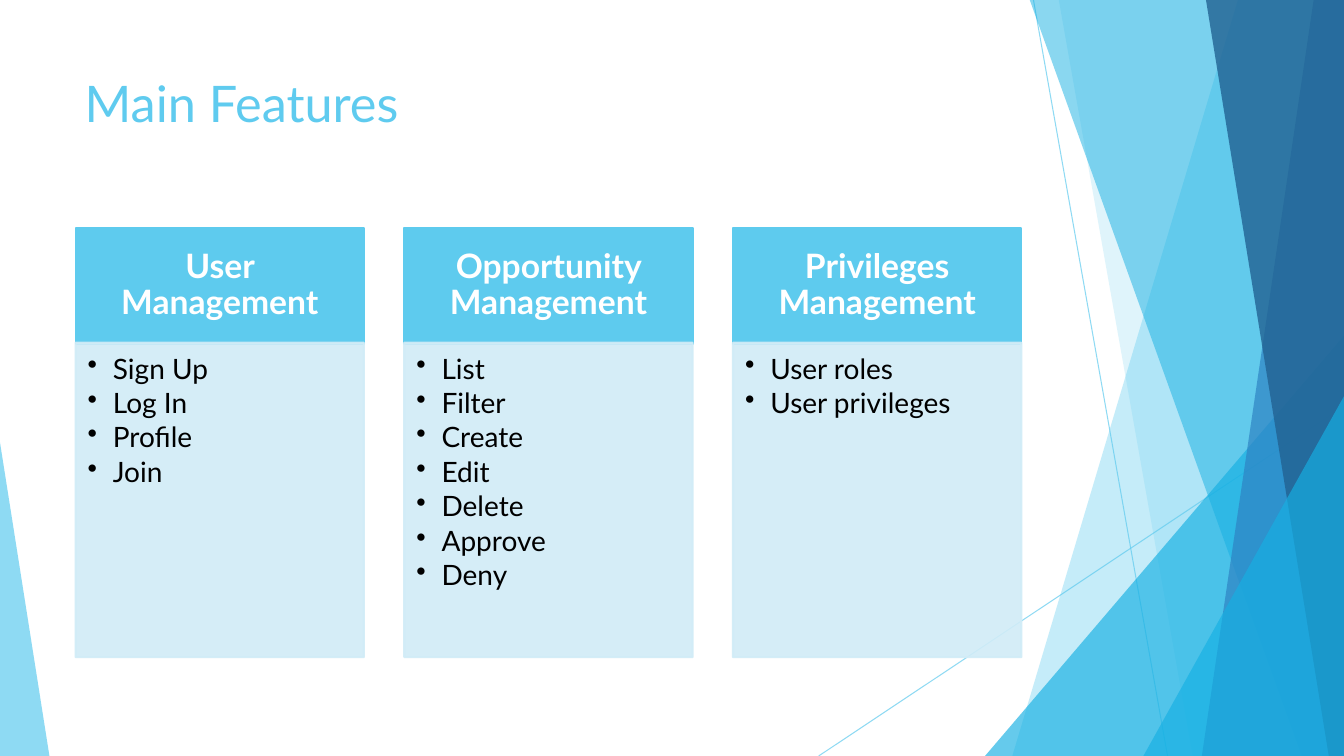
"""Build the Main Features slide with three feature columns."""
from lxml import etree
from pptx import Presentation
from pptx.dml.color import RGBColor
from pptx.enum.shapes import MSO_CONNECTOR, MSO_SHAPE
from pptx.enum.text import MSO_ANCHOR, MSO_AUTO_SIZE, PP_ALIGN
from pptx.oxml.ns import qn
from pptx.util import Pt

PX = 9144
PAGE_WIDTH, PAGE_HEIGHT = 1333, 750
TITLE_ONLY = 5
RECTANGLE = MSO_SHAPE.RECTANGLE
TRIANGLE = MSO_SHAPE.ISOSCELES_TRIANGLE
STRAIGHT = MSO_CONNECTOR.STRAIGHT
LEFT, CENTER = PP_ALIGN.LEFT, PP_ALIGN.CENTER
TOP, MIDDLE = MSO_ANCHOR.TOP, MSO_ANCHOR.MIDDLE
NO_FIT = MSO_AUTO_SIZE.NONE

SKY = RGBColor(0x5F, 0xCB, 0xEF)
CYAN = RGBColor(0x16, 0xB0, 0xE3)
BLUE = RGBColor(0x2E, 0x83, 0xC3)
NAVY = RGBColor(0x22, 0x62, 0x92)
HEADER = RGBColor(0x5E, 0xCB, 0xEE)
PANEL = RGBColor(0xD1, 0xEC, 0xF7)
WHITE = RGBColor(0xFF, 0xFF, 0xFF)
BLACK = RGBColor(0x00, 0x00, 0x00)

FEATURES = {
    "User Management": ["Sign Up", "Log In", "Profile", "Join"],
    "Opportunity Management": ["List", "Filter", "Create", "Edit", "Delete", "Approve", "Deny"],
    "Privileges Management": ["User roles", "User privileges"],
}
COLUMN_LEFT, COLUMN_STEP, COLUMN_WIDTH = 75, 326, 286
HEADER_TOP, HEADER_HEIGHT = 226, 115
PANEL_TOP, PANEL_HEIGHT = 340, 312


class FeaturePage:
    def __init__(self, deck, font):
        self.page = deck.slides.add_slide(deck.slide_layouts[TITLE_ONLY])
        self.shapes = self.page.shapes
        self.font = font

    def fade(self, shape, percent):
        for color in shape._element.spPr.iter(qn("a:srgbClr")):
            etree.SubElement(color, qn("a:alpha"), val=str(percent * 1000))

    def paint(self, shape, color, opacity, outlined=False):
        shape.shadow.inherit = False
        shape.fill.solid()
        shape.fill.fore_color.rgb = color
        if outlined:
            shape.line.color.rgb = color
            shape.line.width = Pt(1.5)
        else:
            shape.line.fill.background()
        self.fade(shape, opacity)

    def ray(self, *ends):
        line = self.shapes.add_connector(STRAIGHT, *(end * PX for end in ends))
        line.line.color.rgb = SKY
        line.line.width = Pt(0.75)
        self.fade(line, 70)
        etree.SubElement(line._element.spPr, qn("a:effectLst"))

    def shard(self, top_x, bottom_x, color, opacity):
        outline = self.shapes.build_freeform(top_x, -1, PX)
        outline.add_line_segments([(PAGE_WIDTH, -1), (PAGE_WIDTH, PAGE_HEIGHT), (bottom_x, PAGE_HEIGHT)])
        self.paint(outline.convert_to_shape(), color, opacity)

    def corner(self, left, top, width, apex, color, opacity):
        box = (left, top, width, PAGE_HEIGHT - top)
        shape = self.shapes.add_shape(TRIANGLE, *(length * PX for length in box))
        shape.adjustments[0] = apex
        self.paint(shape, color, opacity)

    def block(self, left, top, width, height, color, opacity):
        box = self.shapes.add_shape(RECTANGLE, left * PX, top * PX, width * PX, height * PX)
        self.paint(box, color, opacity, outlined=True)
        return box

    def label(self, box, text, size, color, insets, align=LEFT, anchor=TOP, bold=False):
        frame = box.text_frame
        frame.text = text
        frame.word_wrap = True
        frame.auto_size = NO_FIT
        frame.vertical_anchor = anchor
        frame.margin_left, frame.margin_top, frame.margin_right, frame.margin_bottom = (
            inset * PX for inset in insets)
        for para in frame.paragraphs:
            para.alignment = align
            for span in para.runs:
                span.font.name = self.font
                span.font.size = Pt(size)
                span.font.bold = bold
                span.font.color.rgb = color
        return frame.paragraphs

    def title(self, text):
        box = self.shapes.title
        box.left, box.top, box.width, box.height = (length * PX for length in (74, 67, 940, 144))
        self.label(box, text, 36, SKY, (10, 5, 10, 5))

    def header(self, left, text):
        box = self.block(left, HEADER_TOP, COLUMN_WIDTH, HEADER_HEIGHT, HEADER, 100)
        para, = self.label(box, text, 24, WHITE, (19, 11, 19, 11), CENTER, MIDDLE, bold=True)
        para.line_spacing = 0.9

    def bullets(self, left, items):
        box = self.block(left, PANEL_TOP, COLUMN_WIDTH, PANEL_HEIGHT, PANEL, 90)
        paras = self.label(box, "\n".join(items), 20, BLACK, (12, 12, 16, 17))
        for index, para in enumerate(paras):
            para.level = 1
            para.line_spacing = 0.9
            para.space_before = Pt(3 if index else 0)
            properties = para._p.get_or_add_pPr()
            properties.set("marL", str(25 * PX))
            properties.set("indent", str(-25 * PX))
            bullet_color = etree.SubElement(properties, qn("a:buClr"))
            etree.SubElement(bullet_color, qn("a:srgbClr"), val=str(BLACK))
            etree.SubElement(properties, qn("a:buChar"), char="•")


def main():
    deck = Presentation()
    deck.slide_width, deck.slide_height = PAGE_WIDTH * PX, PAGE_HEIGHT * PX
    page = FeaturePage(deck, "Lato")

    page.ray(1025, 0, 1158, PAGE_HEIGHT)
    page.ray(PAGE_WIDTH, 403, 812, PAGE_HEIGHT)
    page.shard(1228, 1004, SKY, 36)
    page.shard(1050, 1183, SKY, 20)
    page.corner(977, 333, 356, 1, CYAN, 66)
    page.shard(1021, 1291, CYAN, 50)
    page.shard(1303, 1192, BLUE, 70)
    page.shard(1196, 1318, NAVY, 80)
    page.corner(1134, 393, 199, 1, CYAN, 66)
    page.corner(0, 439, 49, 0, SKY, 70)

    page.title("Main Features")
    for column, (heading, items) in enumerate(FEATURES.items()):
        left = COLUMN_LEFT + column * COLUMN_STEP
        page.header(left, heading)
        page.bullets(left, items)

    deck.save("out.pptx")


if __name__ == "__main__":
    main()
